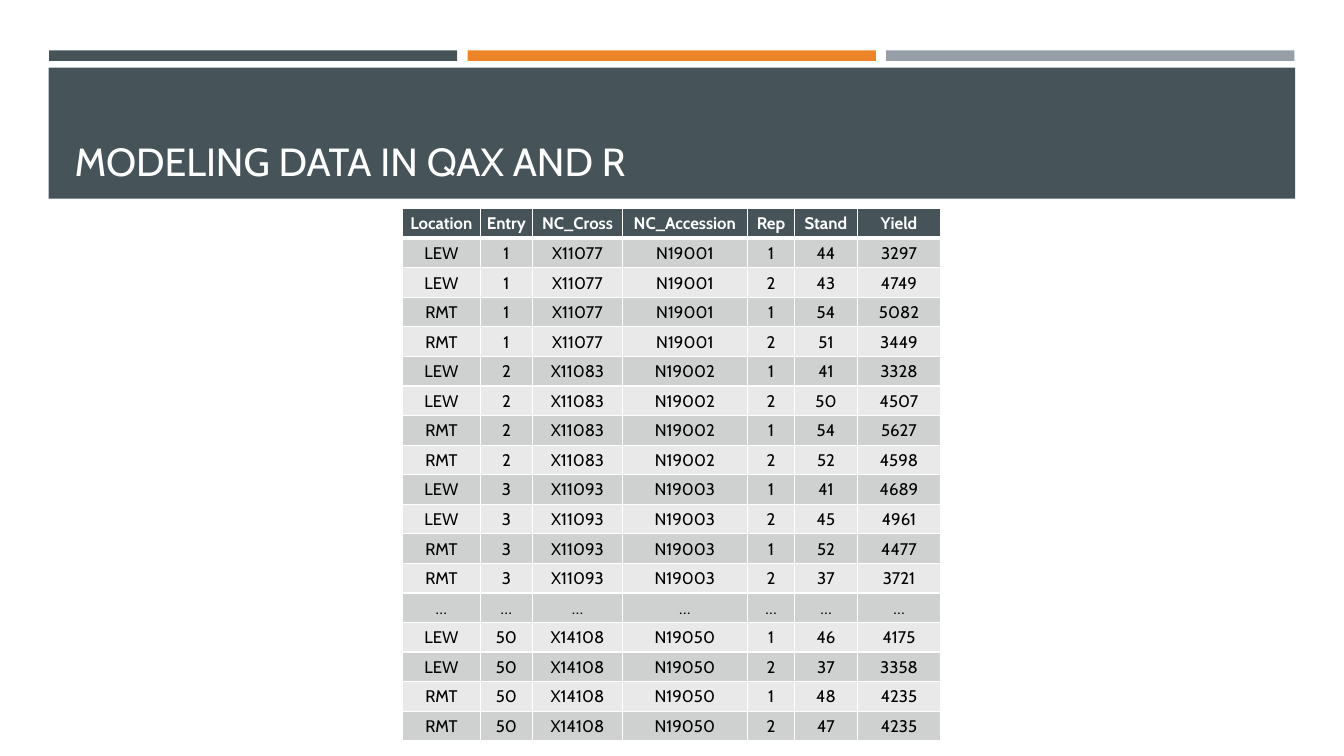
import dataclasses
import itertools

import pptx
import pptx.dml.color
import pptx.enum.shapes
import pptx.enum.text
import pptx.oxml
import pptx.oxml.ns
import pptx.util

Pt = pptx.util.Pt
FONT = "Cabin"
SLATE, ORANGE, GREY = "465359", "ED8428", "969FA7"
WHITE, BLACK = "FFFFFF", "000000"
BANDS = ("CFD1D1", "E9E9EA")
HEADERS = ("Location", "Entry", "NC_Cross", "NC_Accession", "Rep", "Stand", "Yield")
COLUMN_WIDTHS = (55.4, 37.5, 64.1, 89.3, 33.8, 44.7, 59.7)
ROW_HEIGHT = 21.13
PLOTS = tuple(itertools.product(("LEW", "RMT"), (1, 2)))


@dataclasses.dataclass(frozen=True)
class Bar:
    left: float
    top: float
    width: float
    height: float
    color: str


@dataclasses.dataclass(frozen=True)
class Entry:
    number: int
    cross: str
    accession: str
    stands: tuple[int, ...]
    yields: tuple[int, ...]

    def rows(self) -> list[tuple]:
        return [
            (location, self.number, self.cross, self.accession, rep, stand, crop)
            for (location, rep), stand, crop in zip(PLOTS, self.stands, self.yields)
        ]


BARS = [
    Bar(35 + i * 299, 36, 291.6, 7.5, color)
    for i, color in enumerate((SLATE, ORANGE, GREY))
] + [Bar(34.8, 48.4, 890.4, 93.6, SLATE)]

FIRST_ENTRIES = (
    Entry(1, "X11077", "N19001", (44, 43, 54, 51), (3297, 4749, 5082, 3449)),
    Entry(2, "X11083", "N19002", (41, 50, 54, 52), (3328, 4507, 5627, 4598)),
    Entry(3, "X11093", "N19003", (41, 45, 52, 37), (4689, 4961, 4477, 3721)),
)
LAST_ENTRY = Entry(50, "X14108", "N19050", (46, 37, 48, 47), (4175, 3358, 4235, 4235))


def rgb(color: str) -> pptx.dml.color.RGBColor:
    return pptx.dml.color.RGBColor.from_string(color)


def set_font(p, size: float, color: str, bold: bool = False) -> None:
    p.font.name = FONT
    p.font.size = Pt(size)
    p.font.bold = bold
    p.font.color.rgb = rgb(color)


def draw_bar(slide, bar: Bar) -> None:
    sp = slide.shapes.add_shape(
        pptx.enum.shapes.MSO_SHAPE.RECTANGLE,
        Pt(bar.left), Pt(bar.top), Pt(bar.width), Pt(bar.height),
    )
    sp.shadow.inherit = False
    sp.fill.solid()
    sp.fill.fore_color.rgb = rgb(bar.color)
    sp.line.fill.background()


def draw_title(slide, text: str) -> None:
    sp = slide.shapes.title
    slide.shapes.element.append(sp.element)
    sp.left, sp.top, sp.width, sp.height = Pt(46.1), Pt(55.4), Pt(868.3), Pt(80)
    tf = sp.text_frame
    tf.text = text
    tf.word_wrap = True
    tf.auto_size = pptx.enum.text.MSO_AUTO_SIZE.NONE
    tf.vertical_anchor = pptx.enum.text.MSO_ANCHOR.BOTTOM
    p = tf.paragraphs[0]
    p.alignment = pptx.enum.text.PP_ALIGN.LEFT
    set_font(p, 28, WHITE)


def set_borders(cell, top: float, bottom: float) -> None:
    tc_pr = cell._tc.get_or_add_tcPr()
    for side, width in (("L", 1), ("R", 1), ("T", top), ("B", bottom)):
        tc_pr.append(pptx.oxml.parse_xml(
            f'<a:ln{side} {pptx.oxml.ns.nsdecls("a")} w="{Pt(width)}">'
            f'<a:solidFill><a:srgbClr val="{WHITE}"/></a:solidFill></a:ln{side}>'
        ))


def fill_cell(cell, text: str, row: int) -> None:
    header = row == 0
    set_borders(cell, 3 if row == 1 else 1, 3 if header else 1)
    cell.fill.solid()
    cell.fill.fore_color.rgb = rgb(SLATE if header else BANDS[(row - 1) % 2])
    cell.margin_left = cell.margin_right = cell.margin_top = Pt(0.7)
    cell.margin_bottom = 0
    cell.vertical_anchor = pptx.enum.text.MSO_ANCHOR.MIDDLE
    cell.text = text
    p = cell.text_frame.paragraphs[0]
    p.alignment = pptx.enum.text.PP_ALIGN.CENTER
    set_font(p, 12, WHITE if header else BLACK, bold=header)


def draw_table(slide, rows: list[tuple]) -> None:
    table = slide.shapes.add_table(
        len(rows), len(HEADERS), Pt(287.6), Pt(149),
        Pt(sum(COLUMN_WIDTHS)), Pt(ROW_HEIGHT * len(rows)),
    ).table
    for column, width in zip(table.columns, COLUMN_WIDTHS):
        column.width = Pt(width)
    for i, values in enumerate(rows):
        table.rows[i].height = Pt(ROW_HEIGHT)
        for j, value in enumerate(values):
            fill_cell(table.cell(i, j), str(value), i)


def main() -> None:
    prs = pptx.Presentation()
    prs.slide_width, prs.slide_height = Pt(960), Pt(540)
    slide = prs.slides.add_slide(prs.slide_layouts.get_by_name("Title Only"))
    for bar in BARS:
        draw_bar(slide, bar)
    draw_title(slide, "MODELING DATA IN QAX AND R")
    rows = [HEADERS]
    for entry in FIRST_ENTRIES:
        rows.extend(entry.rows())
    rows.append(("…",) * len(HEADERS))
    rows.extend(LAST_ENTRY.rows())
    draw_table(slide, rows)
    prs.save("out.pptx")


if __name__ == "__main__":
    main()
